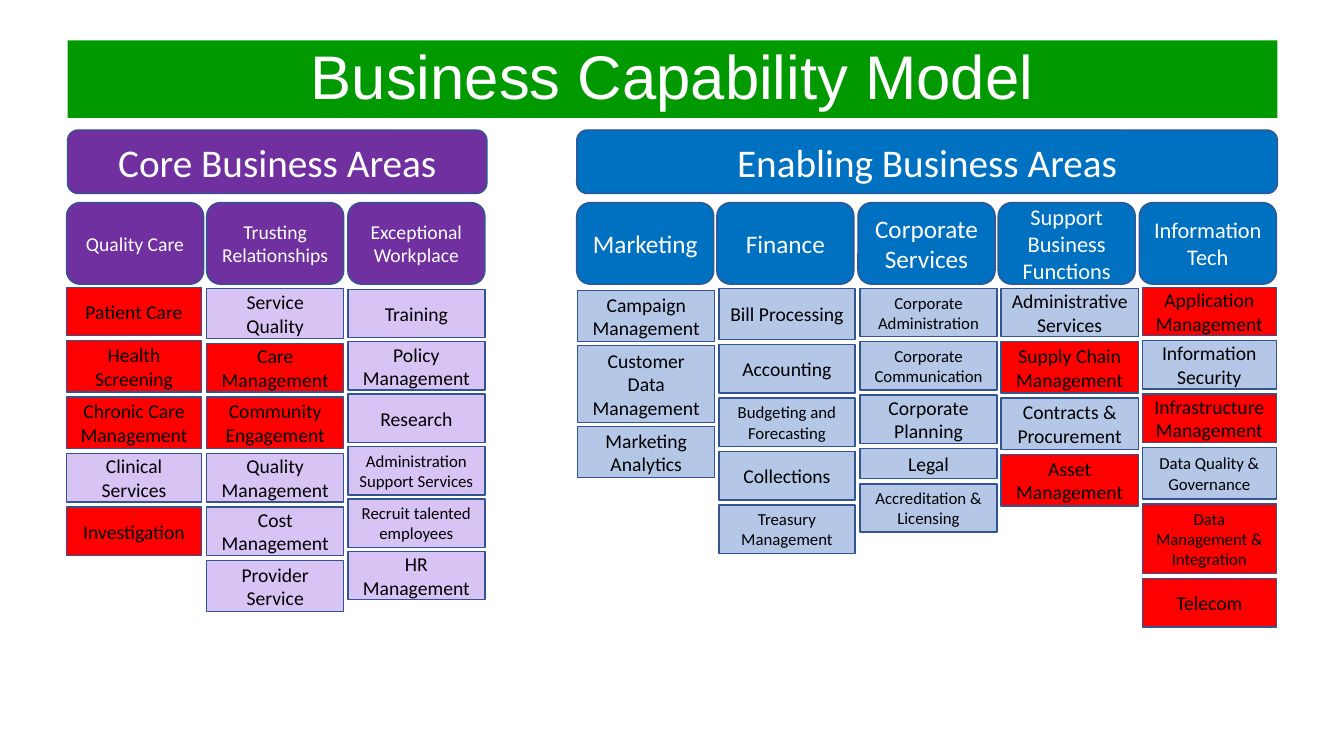
from pptx import Presentation
from pptx.dml.color import RGBColor
from pptx.enum.shapes import MSO_SHAPE
from pptx.enum.text import MSO_ANCHOR, PP_ALIGN
from pptx.util import Pt

PX = 9144  # EMU per px, 100 px to the inch

WHITE = RGBColor(0xFF, 0xFF, 0xFF)
BLACK = RGBColor(0x00, 0x00, 0x00)
GREEN = RGBColor(0x00, 0x99, 0x00)
PURPLE = RGBColor(0x70, 0x30, 0xA0)
LILAC = RGBColor(0xD8, 0xC3, 0xF5)
BLUE = RGBColor(0x00, 0x70, 0xC0)
PALE_BLUE = RGBColor(0xB4, 0xC7, 0xE7)
RED = RGBColor(0xFF, 0x00, 0x00)
OUTLINE = RGBColor(0x32, 0x54, 0x91)

AREA_TOP, AREA_H = 129, 63
HEAD_TOP, HEAD_W, HEAD_H = 201, 136, 81

# Column: heading, size, left, width, top, gap, capabilities
# Capability: text, size, height, highlighted
CORE = [
    ("Quality Care", 14, 66, 134, 285, 5, [
        ("Patient Care", 14, 48, True),
        ("Health Screening", 14, 51, True),
        ("Chronic Care Management", 14, 51, True),
        ("Clinical Services", 14, 48, False),
        ("Investigation", 14, 48, True),
    ]),
    ("Trusting Relationships", 14, 205, 136, 286, 5, [
        ("Service Quality", 14, 50, False),
        ("Care Management", 14, 48, True),
        ("Community Engagement", 14, 51, True),
        ("Quality Management", 14, 48, False),
        ("Cost Management", 14, 48, False),
        ("Provider Service", 14, 51, False),
    ]),
    ("Exceptional Workplace", 14, 345, 136, 287, 4, [
        ("Training", 14, 48, False),
        ("Policy Management", 14, 48, False),
        ("Research", 14, 48, False),
        ("Administration Support Services", 12, 48, False),
        ("Recruit talented employees", 12, 48, False),
        ("HR Management", 14, 48, False),
    ]),
]
ENABLING = [
    ("Marketing", 18, 573, 136, 288, 4, [
        ("Campaign Management", 14, 51, False),
        ("Customer Data Management", 14, 76, False),
        ("Marketing Analytics", 14, 51, False),
    ]),
    ("Finance", 18, 713, 135, 286, 5, [
        ("Bill Processing", 14, 51, False),
        ("Accounting", 14, 48, False),
        ("Budgeting and Forecasting", 12, 48, False),
        ("Collections", 14, 48, False),
        ("Treasury Management", 12, 48, False),
    ]),
    ("Corporate Services", 18, 853, 136, 286, 5, [
        ("Corporate Administration", 12, 48, False),
        ("Corporate Communication", 12, 48, False),
        ("Corporate Planning", 14, 48, False),
        ("Legal", 14, 30, False),
        ("Accreditation & Licensing", 12, 48, False),
    ]),
    ("Support Business Functions", 16, 993, 136, 286, 5, [
        ("Administrative Services", 14, 48, False),
        ("Supply Chain Management", 14, 51, True),
        ("Contracts & Procurement", 14, 51, False),
        ("Asset\nManagement", 14, 51, True),
    ]),
    ("Information Tech", 16, 1133, 133, 285, 5, [
        ("Application Management", 14, 48, True),
        ("Information Security", 14, 48, False),
        ("Infrastructure Management", 14, 48, True),
        ("Data Quality & Governance", 12, 51, False),
        ("Data Management & Integration", 12, 69, True),
        ("Telecom", 14, 48, True),
    ]),
]


def add_box(s, kind, left, top, width, height, text, fill, size,
            color=WHITE, font="Calibri", line=OUTLINE):
    sp = s.shapes.add_shape(kind, left * PX, top * PX, width * PX, height * PX)
    sp.shadow.inherit = False
    sp.fill.solid()
    sp.fill.fore_color.rgb = fill
    if line is None:
        sp.line.fill.background()
    else:
        sp.line.color.rgb = line
        sp.line.width = Pt(1)
    tf = sp.text_frame
    tf.word_wrap = True
    tf.vertical_anchor = MSO_ANCHOR.MIDDLE
    tf.text = text
    for p in tf.paragraphs:
        p.alignment = PP_ALIGN.CENTER
        for r in p.runs:
            for name, value in {"name": font, "size": Pt(size)}.items():
                setattr(r.font, name, value)
            r.font.color.rgb = color
    return sp


def add_title(s, text):
    sp = add_box(s, MSO_SHAPE.RECTANGLE, 67, 40, 1200, 77, text, GREEN, 44,
                 font="Arial", line=None)
    sp.text_frame.paragraphs[0].line_spacing = 0.9


def add_column(s, head_left, column, dark, light):
    heading, size, left, width, top, gap, capabilities = column
    add_box(s, MSO_SHAPE.ROUNDED_RECTANGLE, head_left, HEAD_TOP, HEAD_W,
            HEAD_H, heading, dark, size)
    for text, text_size, height, highlighted in capabilities:
        add_box(s, MSO_SHAPE.RECTANGLE, left, top, width, height, text,
                RED if highlighted else light, text_size, BLACK)
        top += height + gap


def add_area(s, title, left, width, head_left, columns, dark, light):
    add_box(s, MSO_SHAPE.ROUNDED_RECTANGLE, left, AREA_TOP, width, AREA_H,
            title, dark, 28)
    for i, column in enumerate(columns):
        # Headings repeat every 139.5 px
        add_column(s, head_left + i * 279 // 2, column, dark, light)


def main():
    prs = Presentation()
    prs.slide_width, prs.slide_height = 1333 * PX, 750 * PX
    s = prs.slides.add_slide(prs.slide_layouts[6])

    # Title band
    add_title(s, "Business Capability Model")

    # Business areas with their columns
    add_area(s, "Core Business Areas", 67, 416, 66, CORE, PURPLE, LILAC)
    add_area(s, "Enabling Business Areas", 572, 695, 572, ENABLING, BLUE,
             PALE_BLUE)

    prs.save("out.pptx")


if __name__ == "__main__":
    main()
